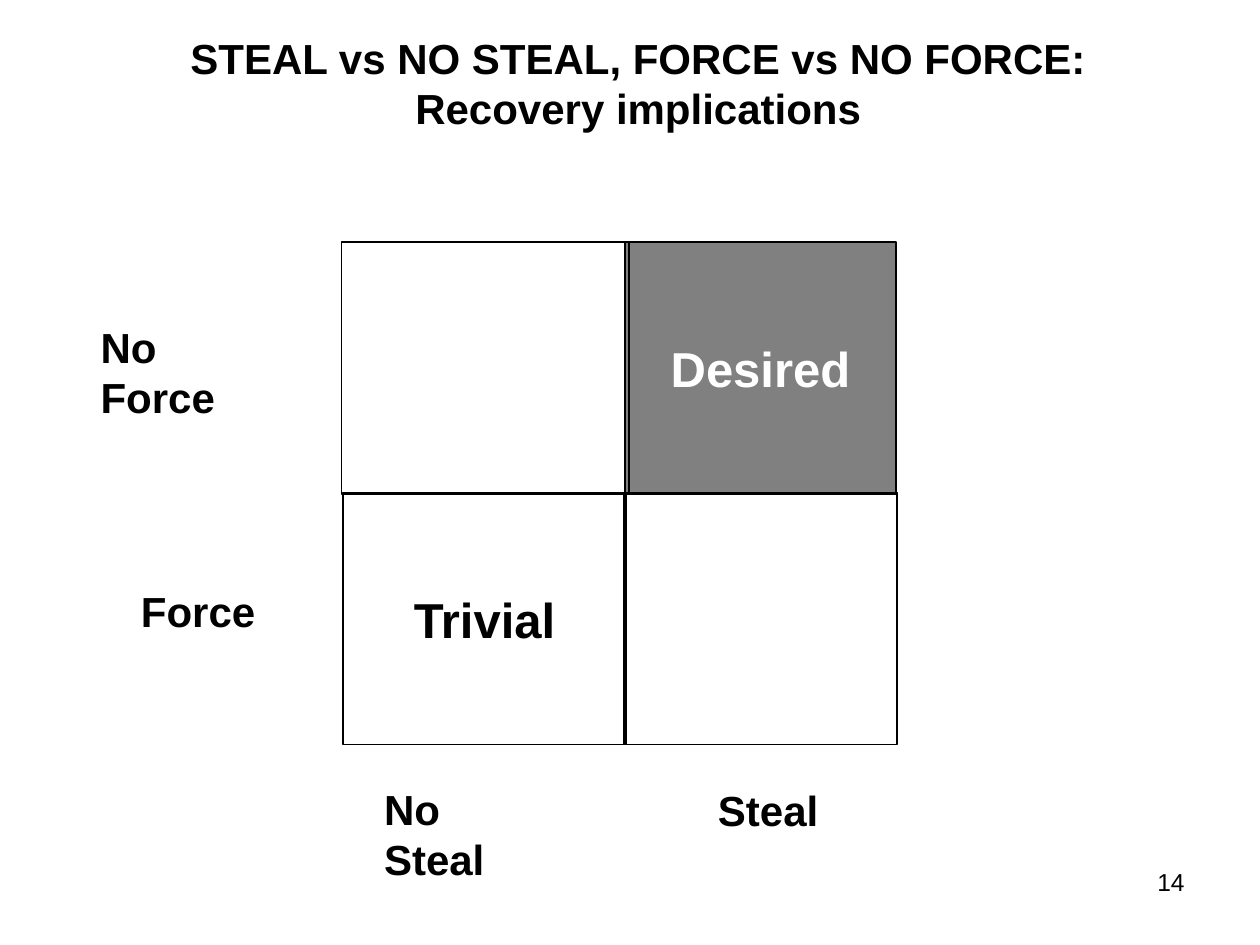
"""Build the two-by-two slide on recovery implications of stealing and force."""
from pptx import Presentation, util as u
from pptx.dml.color import RGBColor
from pptx.enum import shapes, text

BLACK = RGBColor(0x00, 0x00, 0x00)
WHITE = RGBColor(0xFF, 0xFF, 0xFF)
GRAY = RGBColor(0x80, 0x80, 0x80)


class MatrixSlide:
    font_name = "Arial"
    label_size = 24
    cell_size = 28

    def __init__(self, deck):
        self.slide = deck.slides.add_slide(deck.slide_layouts[5])

    def set_words(self, frame, words, size, color=BLACK, bold=True,
                  align=text.PP_ALIGN.CENTER, anchor=text.MSO_ANCHOR.MIDDLE, wrap=False):
        frame.text = words
        frame.word_wrap = wrap
        frame.vertical_anchor = anchor
        paragraph = frame.paragraphs[0]
        paragraph.alignment = align
        for run in paragraph.runs:
            run.font.name = self.font_name
            run.font.size = u.Pt(size)
            run.font.bold = bold
            run.font.color.rgb = color

    def title(self, words, *bounds):
        heading = self.slide.shapes.title
        heading.left, heading.top, heading.width, heading.height = map(u.Inches, bounds)
        self.set_words(heading.text_frame, words, self.label_size, wrap=True)
        heading.text_frame.auto_size = text.MSO_AUTO_SIZE.NONE

    def label(self, words, *bounds):
        box = self.slide.shapes.add_textbox(*map(u.Inches, bounds))
        self.set_words(box.text_frame, words, self.label_size,
                       align=text.PP_ALIGN.LEFT, anchor=text.MSO_ANCHOR.TOP)
        box.text_frame.auto_size = text.MSO_AUTO_SIZE.SHAPE_TO_FIT_TEXT

    def cell(self, words, *bounds, fill=None, color=BLACK):
        quadrant = self.slide.shapes.add_shape(
            shapes.MSO_SHAPE.RECTANGLE, *map(u.Inches, bounds))
        quadrant.shadow.inherit = False
        if fill is None:
            quadrant.fill.background()
        else:
            quadrant.fill.solid()
            quadrant.fill.fore_color.rgb = fill
        quadrant.line.color.rgb = BLACK
        quadrant.line.width = u.Pt(1)
        if words:
            self.set_words(quadrant.text_frame, words, self.cell_size, color)

    def page_number(self, number, *bounds):
        box = self.slide.shapes.add_textbox(*map(u.Inches, bounds))
        self.set_words(box.text_frame, number, 14, bold=False, wrap=True,
                       align=text.PP_ALIGN.RIGHT, anchor=text.MSO_ANCHOR.TOP)


def main():
    deck = Presentation()
    deck.slide_width, deck.slide_height = u.Inches(10), u.Inches(7.5)
    matrix = MatrixSlide(deck)
    matrix.title("STEAL vs NO STEAL, FORCE vs NO FORCE:\vRecovery implications",
                 0.65, 0.32, 8.83, 0.67)

    label_height = 0.5
    for words, left, top, width in (
        ("Force", 1.02, 4.6, 1.11),
        ("No Force", 0.7, 2.5, 1.64),
        ("No Steal", 2.95, 6.17, 1.53),
        ("Steal", 5.6, 6.18, 1),
    ):
        matrix.label(words, left, top, width, label_height)

    no_force_top, force_top, cell_height = 1.92, 3.91, 2
    matrix.cell("Desired", 4.96, no_force_top, 2.15, cell_height, fill=GRAY, color=WHITE)
    matrix.cell("Trivial", 2.72, force_top, 2.25, cell_height)
    matrix.cell("", 4.95, force_top, 2.17, cell_height)
    matrix.cell("", 2.71, no_force_top, 2.28, cell_height)

    matrix.page_number("14", 7.17, 6.83, 2.33, 0.52)
    deck.save("out.pptx")


if __name__ == "__main__":
    main()
